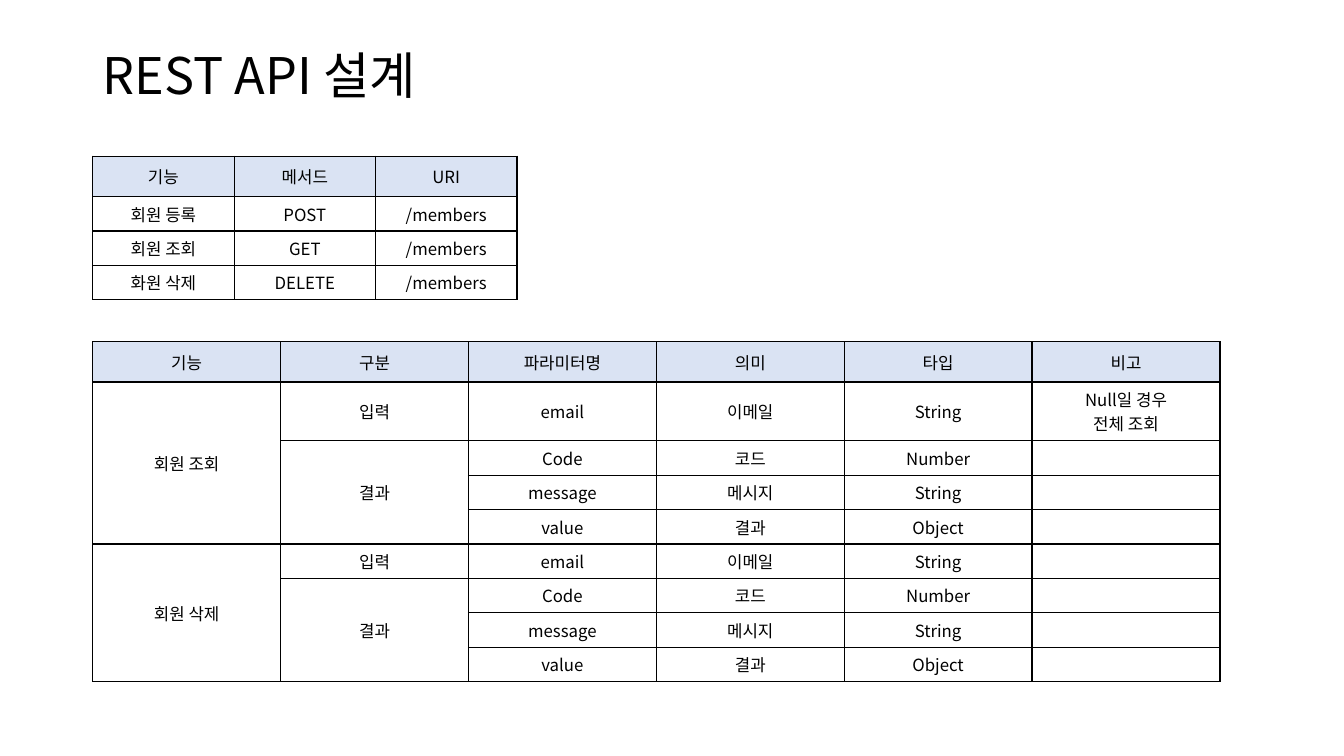
"""Build the REST API design slide with its two tables."""
from lxml import etree
from pptx import Presentation
from pptx.dml.color import RGBColor
from pptx.enum.text import MSO_ANCHOR, PP_ALIGN
from pptx.oxml.ns import qn
from pptx.util import Pt

MIDDLE = MSO_ANCHOR.MIDDLE
CENTER = PP_ALIGN.CENTER
LEFT = PP_ALIGN.LEFT


def color(code):
    return RGBColor.from_string(code)


class Deck:
    font = "Noto Sans CJK KR"
    ink = "000000"
    head = "DAE3F3"
    size = 12
    line = 1

    def __init__(self, wide, high):
        self.prs = Presentation()
        self.prs.slide_width, self.prs.slide_height = Pt(wide), Pt(high)
        self.slide = self.prs.slides.add_slide(self.prs.slide_layouts[6])

    def label(self, frame, text, size, align):
        frame.word_wrap = True
        for i, part in enumerate(text.split("\n")):
            para = frame.add_paragraph() if i else frame.paragraphs[0]
            para.alignment = align
            if not part:
                end = etree.SubElement(para._p, qn("a:endParaRPr"))
                end.set("sz", str(size * 100))
                continue
            run = para.add_run()
            run.text = part
            run.font.size = Pt(size)
            run.font.name = self.font
            run.font.color.rgb = color(self.ink)
            east = etree.SubElement(run._r.get_or_add_rPr(), qn("a:ea"))
            east.set("typeface", self.font)

    def title(self, text, x, y, w, h, size):
        box = self.slide.shapes.add_textbox(Pt(x), Pt(y), Pt(w), Pt(h))
        frame = box.text_frame
        self.label(frame, text, size, LEFT)
        frame.vertical_anchor = MIDDLE
        frame.paragraphs[0].line_spacing = 0.9

    def border(self, cell):
        props = cell._tc.get_or_add_tcPr()
        for side in ("lnL", "lnR", "lnT", "lnB"):
            edge = etree.SubElement(props, qn("a:" + side))
            edge.set("w", str(Pt(self.line)))
            fill = etree.SubElement(edge, qn("a:solidFill"))
            etree.SubElement(fill, qn("a:srgbClr")).set("val", self.ink)

    def table(self, rows, x, y, wide, highs, spans=()):
        count = len(rows[0])
        grid = self.slide.shapes.add_table(
            len(rows), count, Pt(x), Pt(y), Pt(wide * count), Pt(sum(highs))
        ).table
        for col in grid.columns:
            col.width = Pt(wide)
        for r, row in enumerate(rows):
            grid.rows[r].height = Pt(highs[r])
            for c, text in enumerate(row):
                cell = grid.cell(r, c)
                self.label(cell.text_frame, text, self.size, CENTER)
                cell.vertical_anchor = MIDDLE
                self.border(cell)
                if r:
                    cell.fill.background()
                else:
                    cell.fill.solid()
                    cell.fill.fore_color.rgb = color(self.head)
        for top, last, c in spans:
            grid.cell(top, c).merge(grid.cell(last, c))


def main():
    deck = Deck(960, 540)
    left, head, row, tall = 66.24, 28.8, 24.6, 42
    deck.title("REST API 설계", left, 28.8, 828, 54.72, 36)

    calls = [
        ("기능", "메서드", "URI"),
        ("회원 등록", "POST", "/members"),
        ("회원 조회", "GET", "/members"),
        ("화원 삭제", "DELETE", "/members"),
    ]
    deck.table(calls, left, 111.6, 101, [head] + [row] * 3)

    fields = [("기능", "구분", "파라미터명", "의미", "타입", "비고")]
    spans = []
    for name, note in (("회원 조회", "Null일 경우\n전체 조회"), ("회원 삭제", "")):
        top = len(fields)
        spans += [(top, top + 3, 0), (top + 1, top + 3, 1)]
        fields += [
            (name, "입력", "email", "이메일", "String", note),
            ("", "결과", "Code", "코드", "Number", ""),
            ("", "", "message", "메시지", "String", ""),
            ("", "", "value", "결과", "Object", ""),
        ]
    deck.table(fields, left, 244.1, 134.2, [head, tall] + [row] * 7, spans)
    deck.prs.save("out.pptx")


if __name__ == "__main__":
    main()
